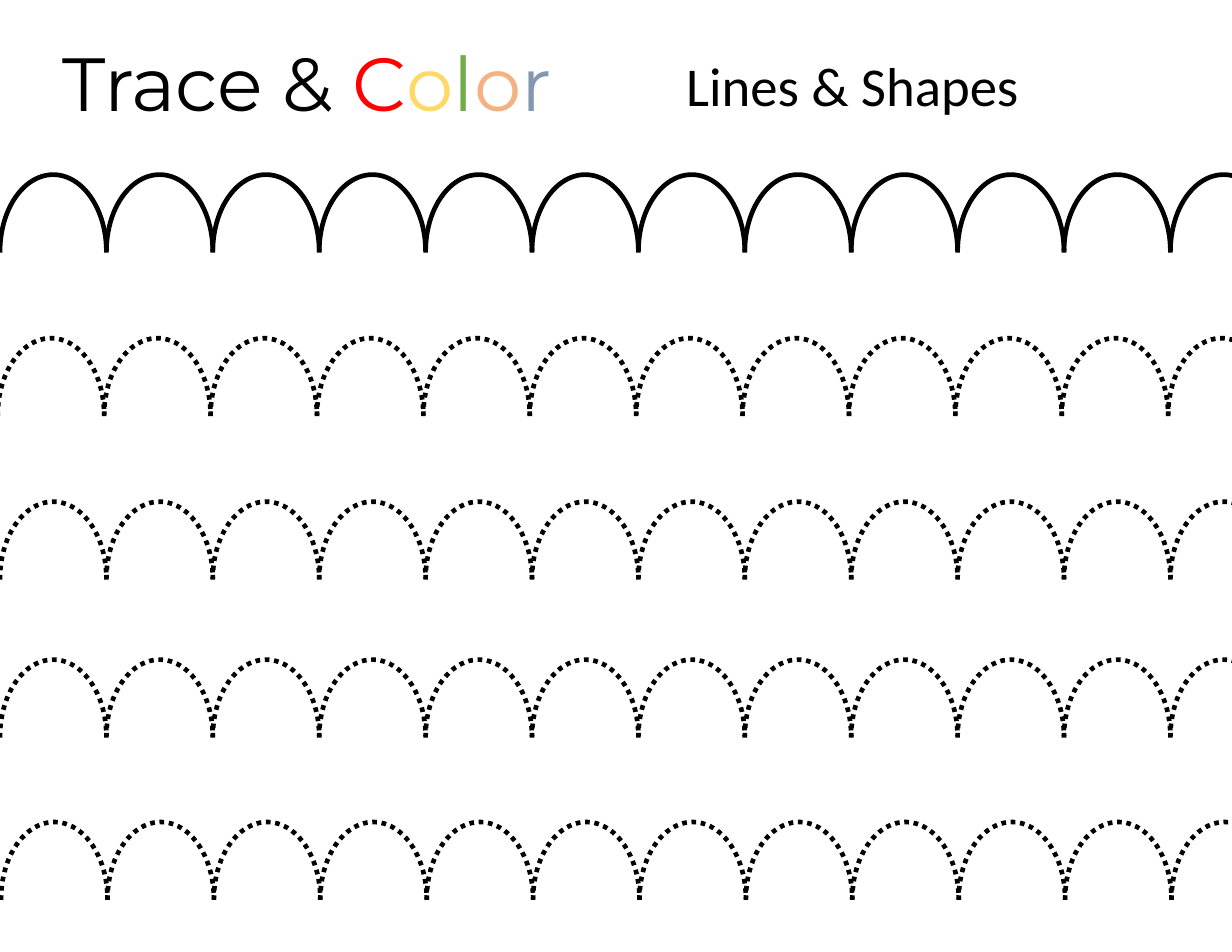
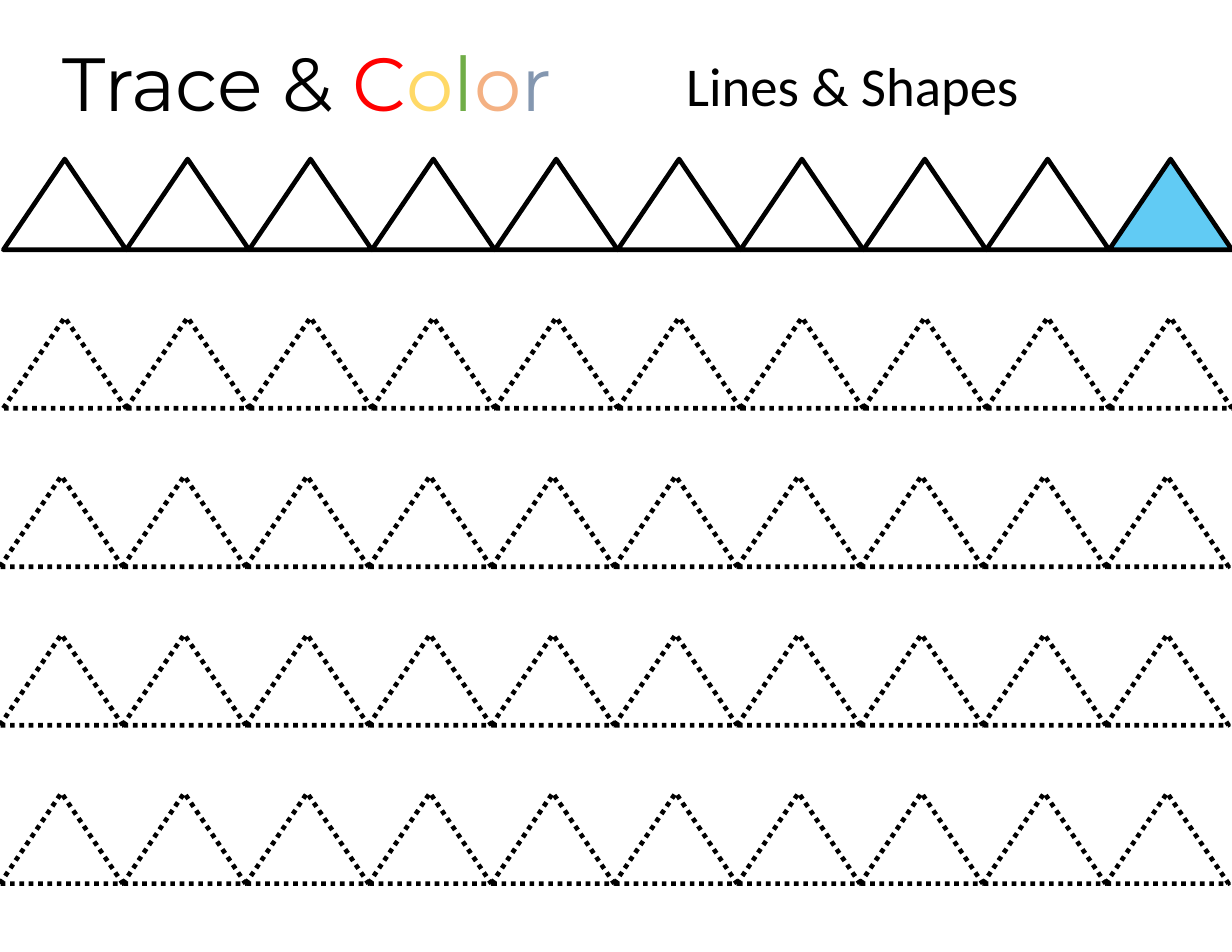
from pptx import Presentation
from pptx import util as u
from pptx.dml.color import RGBColor
from pptx.enum import dml, shapes, text

COLORS = {
    "ink": "000000",
    "red": "FF0000",
    "yellow": "FFD966",
    "green": "70AD47",
    "orange": "F4B183",
    "slate": "8497B0",
    "sky": "61CBF4",
}
TITLE = [("Trace & ", "ink"), ("C", "red"), ("o", "yellow"),
         ("l", "green"), ("o", "orange"), ("r", "slate")]
TOPIC = [("Lines & Shapes", "ink")]
TITLE_BOX = (0.46, 0.27, 5.51, 0.92)
TOPIC_BOX = (5.05, 0.41, 5.12, 0.69)
SLIDE_W, SLIDE_H = 11, 8.5

# Scallops: (left, top) of each row
ARC_ROWS = [(0, 1.56), (-0.02, 3.02), (0, 4.48), (0, 5.89), (0.01, 7.34)]
ARC_COUNT, ARC_W, ARC_H = 12, 0.95, 1.37
ARC_START = 107.24

# Triangles: even rows, the first two set slightly to the right
TRIANGLE_LEFTS = [0.03, 0.03, 0, 0, 0]
TRIANGLE_TOP, TRIANGLE_PITCH = 1.42, 1.415
TRIANGLE_COUNT, TRIANGLE_H = 10, 0.81
TRIANGLE_W = (SLIDE_W - 0.03) / TRIANGLE_COUNT


def rgb(name):
    return RGBColor.from_string(COLORS[name])


def add_heading(slide, box, pieces, font_name, size, align):
    heading = slide.shapes.add_textbox(*map(u.Inches, box))
    frame = heading.text_frame
    frame.word_wrap = True
    frame.auto_size = text.MSO_AUTO_SIZE.SHAPE_TO_FIT_TEXT
    line = frame.paragraphs[0]
    line.alignment = align
    for letters, color in pieces:
        run = line.add_run()
        run.text = letters
        run.font.name = font_name
        run.font.size = u.Pt(size)
        run.font.color.rgb = rgb(color)


def add_header(slide):
    add_heading(slide, TITLE_BOX, TITLE, "Montserrat", 48.4, text.PP_ALIGN.LEFT)
    add_heading(slide, TOPIC_BOX, TOPIC, "Calibri", 35.2, text.PP_ALIGN.CENTER)


def add_tracing_row(slide, kind, box, count, dotted):
    """Fill the box with equal outlines, side by side, and return them."""
    left, top, width, height = box
    step = width / count
    row = slide.shapes.add_group_shape()
    outlines = []
    for i in range(count):
        outline = row.shapes.add_shape(
            kind, u.Inches(left + i * step), u.Inches(top),
            u.Inches(step), u.Inches(height))
        outline.shadow.inherit = False
        outline.fill.background()
        outline.line.color.rgb = rgb("ink")
        outline.line.width = u.Pt(3)
        if dotted:
            outline.line.dash_style = dml.MSO_LINE.ROUND_DOT
        outlines.append(outline)
    return outlines


def build_scallops(slide):
    for i, (left, top) in enumerate(ARC_ROWS):
        box = (left, top, ARC_COUNT * ARC_W, ARC_H)
        for arc in add_tracing_row(slide, shapes.MSO_SHAPE.ARC, box,
                                   ARC_COUNT, dotted=i > 0):
            arc.adjustments[0] = ARC_START
            arc.adjustments[1] = 0
    add_header(slide)


def build_triangles(slide):
    for i, left in enumerate(TRIANGLE_LEFTS):
        box = (left, TRIANGLE_TOP + i * TRIANGLE_PITCH,
               TRIANGLE_COUNT * TRIANGLE_W, TRIANGLE_H)
        triangles = add_tracing_row(slide, shapes.MSO_SHAPE.FLOWCHART_EXTRACT,
                                    box, TRIANGLE_COUNT, dotted=i > 0)
        # The solid row ends with a coloured example
        if i == 0:
            triangles[-1].fill.solid()
            triangles[-1].fill.fore_color.rgb = rgb("sky")
    add_header(slide)


def main():
    deck = Presentation()
    deck.slide_width = u.Inches(SLIDE_W)
    deck.slide_height = u.Inches(SLIDE_H)
    for build in (build_scallops, build_triangles):
        build(deck.slides.add_slide(deck.slide_layouts[6]))
    deck.save("out.pptx")


if __name__ == "__main__":
    main()
